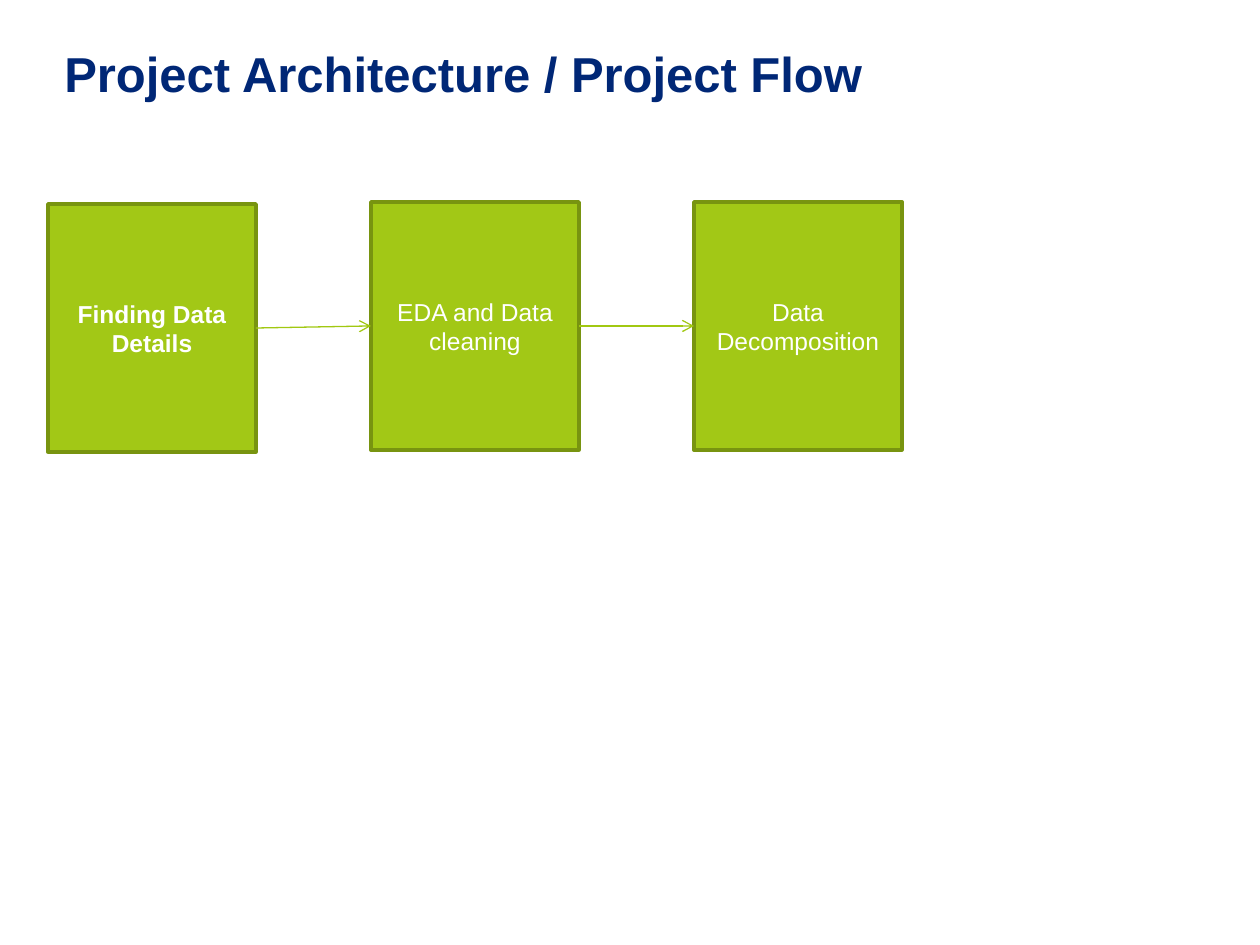
from lxml import etree
from pptx import Presentation
from pptx.dml.color import RGBColor
from pptx.enum.shapes import MSO_CONNECTOR, MSO_SHAPE
from pptx.enum.text import MSO_ANCHOR, PP_ALIGN
from pptx.oxml.ns import qn
from pptx.util import Pt

PX = 914400 / 126
NAVY = RGBColor(0x00, 0x27, 0x76)
GREEN = RGBColor(0xA2, 0xC8, 0x16)
DARK_GREEN = RGBColor(0x78, 0x94, 0x10)
ARROW_GREEN = RGBColor(0xA1, 0xC8, 0x11)
WHITE = RGBColor(0xFF, 0xFF, 0xFF)
RECTANGLE = MSO_SHAPE.RECTANGLE
STRAIGHT = MSO_CONNECTOR.STRAIGHT
LEFT, CENTER = PP_ALIGN.LEFT, PP_ALIGN.CENTER
TOP, MIDDLE = MSO_ANCHOR.TOP, MSO_ANCHOR.MIDDLE
LEFT_SIDE, RIGHT_SIDE = 1, 3

STEP_WIDTH, STEP_HEIGHT, STEP_PITCH = 208, 248, 323
# Each step: label, bold, offset from the top of the flow
STEPS = [
    ("Finding Data Details", True, 2),
    ("EDA and Data cleaning", False, 0),
    ("Data Decomposition", False, 0),
]


def emu(*lengths):
    return [round(length * PX) for length in lengths]


def write_text(shape, text, *, size, color, bold=False, align=LEFT, anchor=TOP):
    frame = shape.text_frame
    frame.word_wrap = True
    frame.vertical_anchor = anchor
    para = frame.paragraphs[0]
    para.alignment = align
    span = para.add_run()
    span.text = text
    span.font.name = "Arial"
    span.font.size = Pt(size)
    span.font.bold = bold
    span.font.color.rgb = color


def add_title(page, left, top, width, height):
    box = page.shapes.add_textbox(*emu(left, top, width, height))
    write_text(box, "Project Architecture / Project Flow",
               size=28, color=NAVY, bold=True)


def add_step(page, left, top, label, bold):
    box = page.shapes.add_shape(
        RECTANGLE, *emu(left, top, STEP_WIDTH, STEP_HEIGHT))
    box.shadow.inherit = False
    box.fill.solid()
    box.fill.fore_color.rgb = GREEN
    box.line.color.rgb = DARK_GREEN
    box.line.width = Pt(2)
    write_text(box, label, size=14, color=WHITE, bold=bold,
               align=CENTER, anchor=MIDDLE)
    return box


def add_arrow(page, source, target):
    arrow = page.shapes.add_connector(STRAIGHT, 0, 0, 0, 0)
    arrow.begin_connect(source, RIGHT_SIDE)
    arrow.end_connect(target, LEFT_SIDE)
    arrow.line.color.rgb = ARROW_GREEN
    arrow.line.width = Pt(0.75)
    etree.SubElement(arrow.line._get_or_add_ln(), qn("a:tailEnd"), type="arrow")
    etree.SubElement(arrow._element.spPr, qn("a:effectLst"))


def add_flow(page, left, top):
    """Place the steps in a row and join each to the next."""
    boxes = [
        add_step(page, left + index * STEP_PITCH, top + offset, label, bold)
        for index, (label, bold, offset) in enumerate(STEPS)
    ]
    for source, target in zip(boxes, boxes[1:]):
        add_arrow(page, source, target)


def main():
    deck = Presentation()
    deck.slide_width, deck.slide_height = emu(1260, 945)
    page = deck.slides.add_slide(deck.slide_layouts[6])
    page.background.fill.solid()
    page.background.fill.fore_color.rgb = WHITE
    add_title(page, 52, 37, 845, 72)
    add_flow(page, 48, 202)
    deck.save("out.pptx")


if __name__ == "__main__":
    main()
